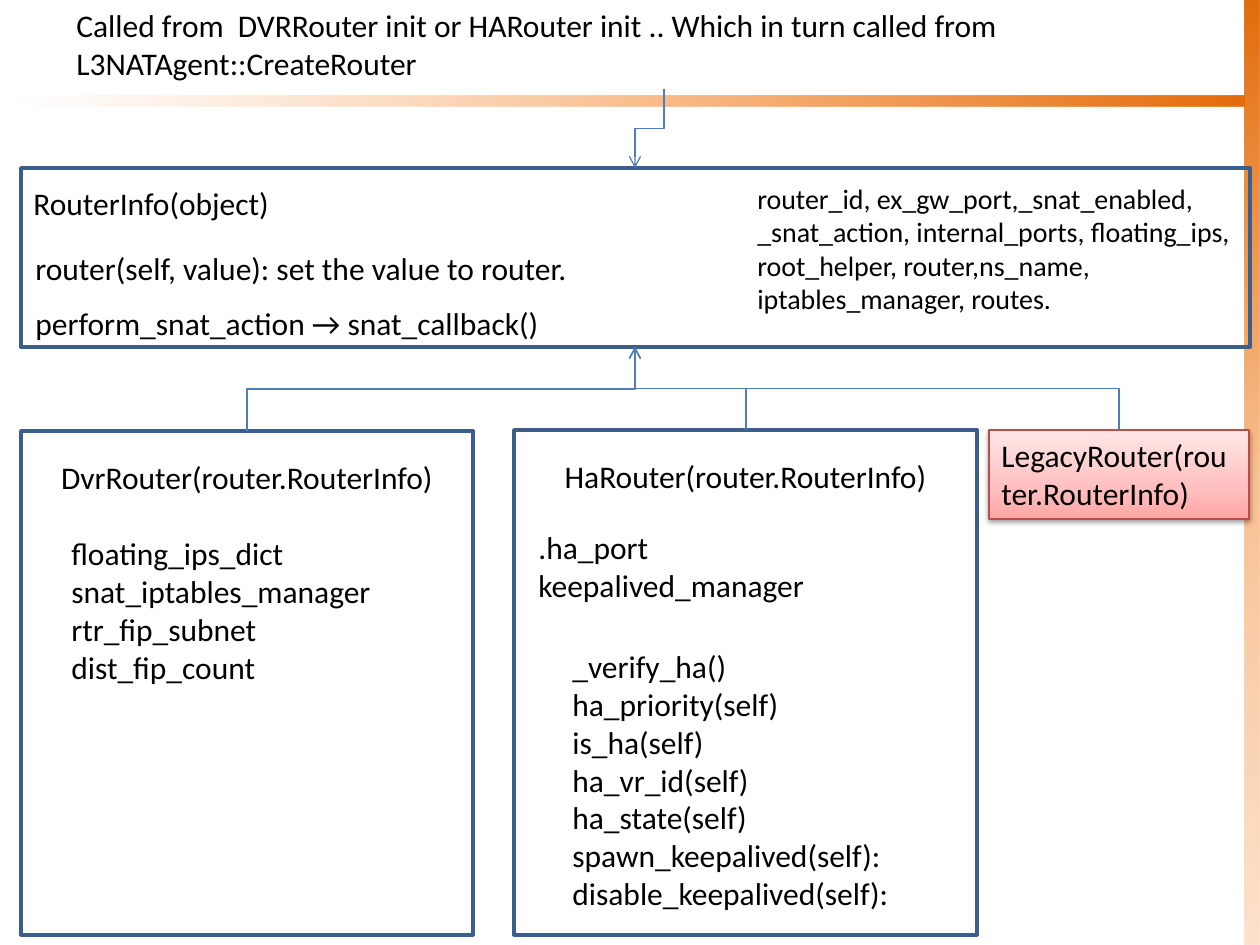
import pptx
import pptx.dml.color
import pptx.enum.shapes
import pptx.enum.text
import pptx.oxml
import pptx.oxml.ns
import pptx.util

RGBColor = pptx.dml.color.RGBColor
BLACK = RGBColor(0x00, 0x00, 0x00)
BOX_LINE = RGBColor(0x3A, 0x5F, 0x8C)
ARROW_LINE = RGBColor(0x4B, 0x7E, 0xBC)
LEGACY_LINE = RGBColor(0xBF, 0x4C, 0x48)
ORANGE = RGBColor(0xE4, 0x6C, 0x0A)
PEACH = RGBColor(0xFA, 0xC0, 0x90)
CREAM = RGBColor(0xFC, 0xD5, 0xB5)
PINK = RGBColor(0xFF, 0xA6, 0xA5)
LIGHT_PINK = RGBColor(0xFF, 0xC0, 0xBF)
PALE_PINK = RGBColor(0xFF, 0xE7, 0xE7)

PX = 914400 / 126
NS = pptx.oxml.ns.nsdecls("a")
RECTANGLE = pptx.enum.shapes.MSO_SHAPE.RECTANGLE
LEFT = pptx.enum.text.PP_ALIGN.LEFT
CENTER = pptx.enum.text.PP_ALIGN.CENTER


def set_gradient(shape, angle, stops):
    """Fill with (percent, colour, opacity) stops; the angle runs clockwise."""
    stop_xml = "".join(
        f'<a:gs pos="{position * 1000}"><a:srgbClr val="{color}">'
        f'<a:alpha val="{opacity * 1000}"/></a:srgbClr></a:gs>'
        for position, color, opacity in stops)
    shape.fill.gradient()
    shape.fill.gradient_angle = -angle % 360
    old_list = shape._element.spPr.find(".//" + pptx.oxml.ns.qn("a:gsLst"))
    new_list = pptx.oxml.parse_xml(f"<a:gsLst {NS}>{stop_xml}</a:gsLst>")
    old_list.getparent().replace(old_list, new_list)


def write_text(shape, text, size=18, align=LEFT):
    frame = shape.text_frame
    frame.text = text
    frame.vertical_anchor = pptx.enum.text.MSO_ANCHOR.TOP
    for para in frame.paragraphs:
        para.alignment = align
        for span in para.runs:
            span.font.name = "Calibri"
            span.font.size = pptx.util.Pt(size)
            span.font.color.rgb = BLACK


deck = pptx.Presentation()
deck.slide_width = pptx.util.Inches(10)
deck.slide_height = pptx.util.Inches(7.5)
page = deck.slides.add_slide(deck.slide_layouts[6])

# Orange bands at the right edge and under the heading
for bounds, angle, end_opacity in [
    ((1245, 0, 15, 945), 90, 69),
    ((15, 96, 1230, 10), 180, 0),
]:
    band = page.shapes.add_shape(RECTANGLE, *[round(n * PX) for n in bounds])
    band.shadow.inherit = False
    band.line.fill.background()
    set_gradient(band, angle, [(0, ORANGE, 100), (50, PEACH, 100), (100, CREAM, end_opacity)])

# Outlined class boxes
for bounds, name, align, top_inset in [
    ((21, 168, 1229, 179), "RouterInfo(object)", LEFT, 16),
    ((21, 431, 452, 504), "DvrRouter(router.RouterInfo)", CENTER, 27),
    ((514, 430, 463, 505), "HaRouter(router.RouterInfo)", CENTER, 27),
]:
    box = page.shapes.add_shape(RECTANGLE, *[round(n * PX) for n in bounds])
    box.shadow.inherit = False
    box.fill.background()
    box.line.color.rgb = BOX_LINE
    box.line.width = pptx.util.Pt(2)
    box.text_frame.margin_top = round(top_inset * PX)
    write_text(box, name, align=align)

# Legacy router, filled and shadowed
legacy = page.shapes.add_shape(RECTANGLE, *[round(n * PX) for n in (989, 430, 260, 89)])
set_gradient(legacy, 270, [(0, PINK, 100), (35, LIGHT_PINK, 100), (100, PALE_PINK, 100)])
legacy.line.color.rgb = LEGACY_LINE
legacy.line.width = pptx.util.Pt(0.75)
legacy._element.spPr.append(pptx.oxml.parse_xml(
    f'<a:effectLst {NS}><a:outerShdw blurRad="40000" dist="20000" dir="5400000" rotWithShape="0">'
    '<a:srgbClr val="000000"><a:alpha val="38000"/></a:srgbClr></a:outerShdw></a:effectLst>'))
legacy.text_frame.word_wrap = True
write_text(legacy, "LegacyRouter(router.RouterInfo)")

# Elbow arrows: laid out sideways about their centre, then turned a quarter
for start_x, start_y, end_x, end_y in [
    (247, 431, 635, 347),
    (1119, 430, 635, 347),
    (746, 430, 635, 347),
    (664, 89, 635, 168),
]:
    center_x, center_y = (start_x + end_x) / 2, (start_y + end_y) / 2
    half_x, half_y = (start_x - end_x) / 2, (start_y - end_y) / 2
    ends = (center_x + half_y, center_y - half_x, center_x - half_y, center_y + half_x)
    arrow = page.shapes.add_connector(
        pptx.enum.shapes.MSO_CONNECTOR.ELBOW, *[round(n * PX) for n in ends])
    arrow.line.color.rgb = ARROW_LINE
    arrow.line.width = pptx.util.Pt(0.75)
    properties = arrow._element.spPr
    properties.find(pptx.oxml.ns.qn("a:xfrm")).set("rot", "5400000")
    properties.find(pptx.oxml.ns.qn("a:ln")).append(
        pptx.oxml.parse_xml(f'<a:tailEnd {NS} type="arrow"/>'))
    properties.append(pptx.oxml.parse_xml(f"<a:effectLst {NS}/>"))

# Text: bounds, wrap, size, wording
for bounds, wrap, size, text in [
    ((745, 175, 504, 149), True, 16,
     "router_id, ex_gw_port,_snat_enabled, _snat_action, internal_ports, "
     "floating_ips, root_helper, router,ns_name, iptables_manager, routes."),
    ((23, 298, 537, 50), False, 18, "perform_snat_action → snat_callback()"),
    ((23, 243, 558, 50), False, 18, "router(self, value): set the value to router."),
    ((64, 0, 1201, 89), True, 18,
     "Called from  DVRRouter init or HARouter init .. "
     "Which in turn called from L3NATAgent::CreateRouter"),
    ((526, 522, 295, 89), False, 18, ".ha_port\nkeepalived_manager"),
    ((560, 641, 364, 280), True, 18,
     "_verify_ha()\nha_priority(self)\nis_ha(self)\nha_vr_id(self)\nha_state(self)\n"
     "spawn_keepalived(self):\ndisable_keepalived(self):"),
    ((59, 528, 375, 165), True, 18,
     "floating_ips_dict\nsnat_iptables_manager\nrtr_fip_subnet\ndist_fip_count"),
]:
    label = page.shapes.add_textbox(*[round(n * PX) for n in bounds])
    label.text_frame.word_wrap = wrap
    label.text_frame.auto_size = pptx.enum.text.MSO_AUTO_SIZE.SHAPE_TO_FIT_TEXT
    write_text(label, text, size)

deck.save("out.pptx")
